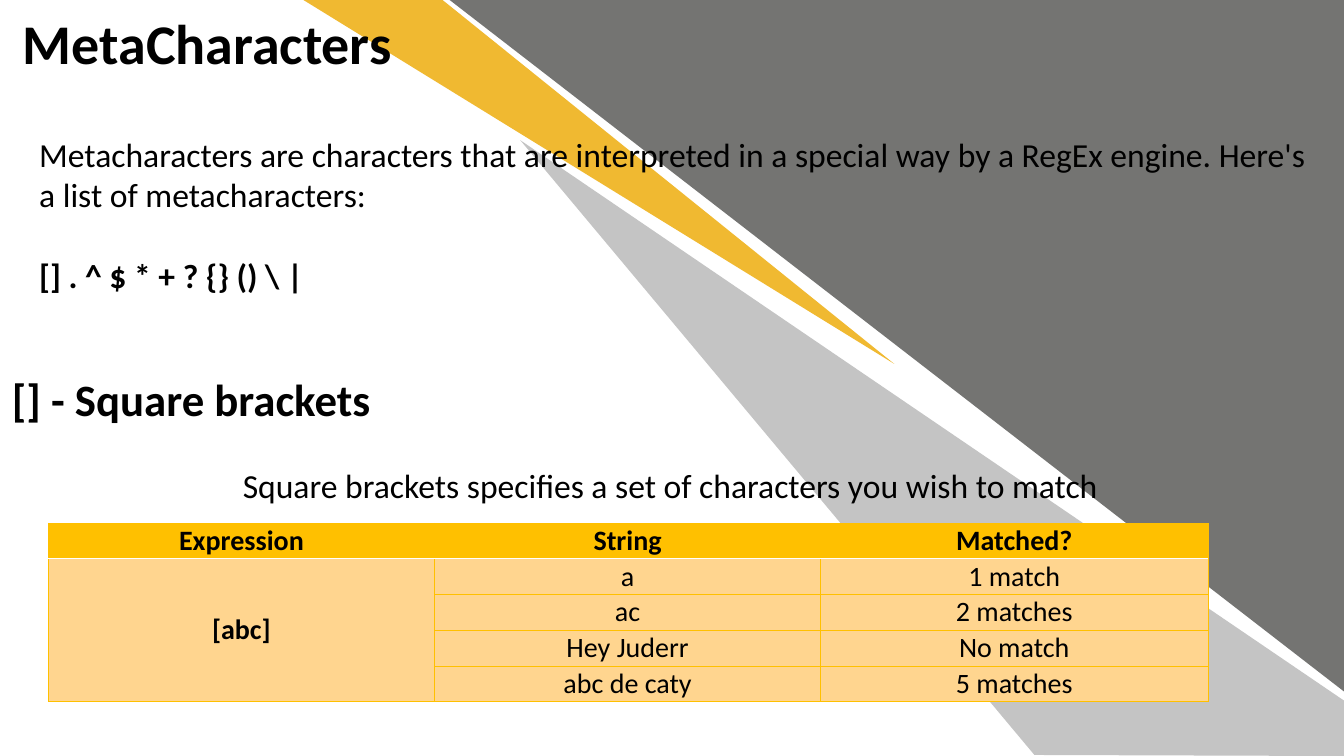
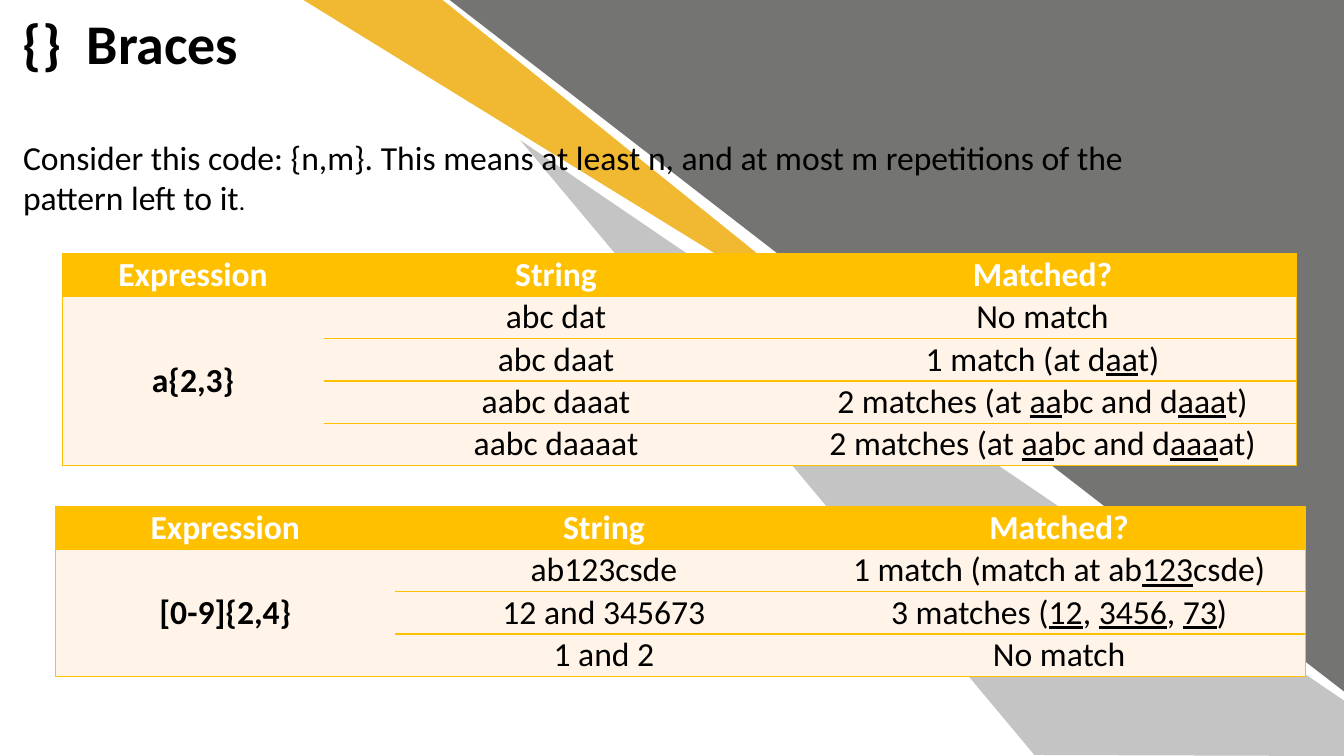
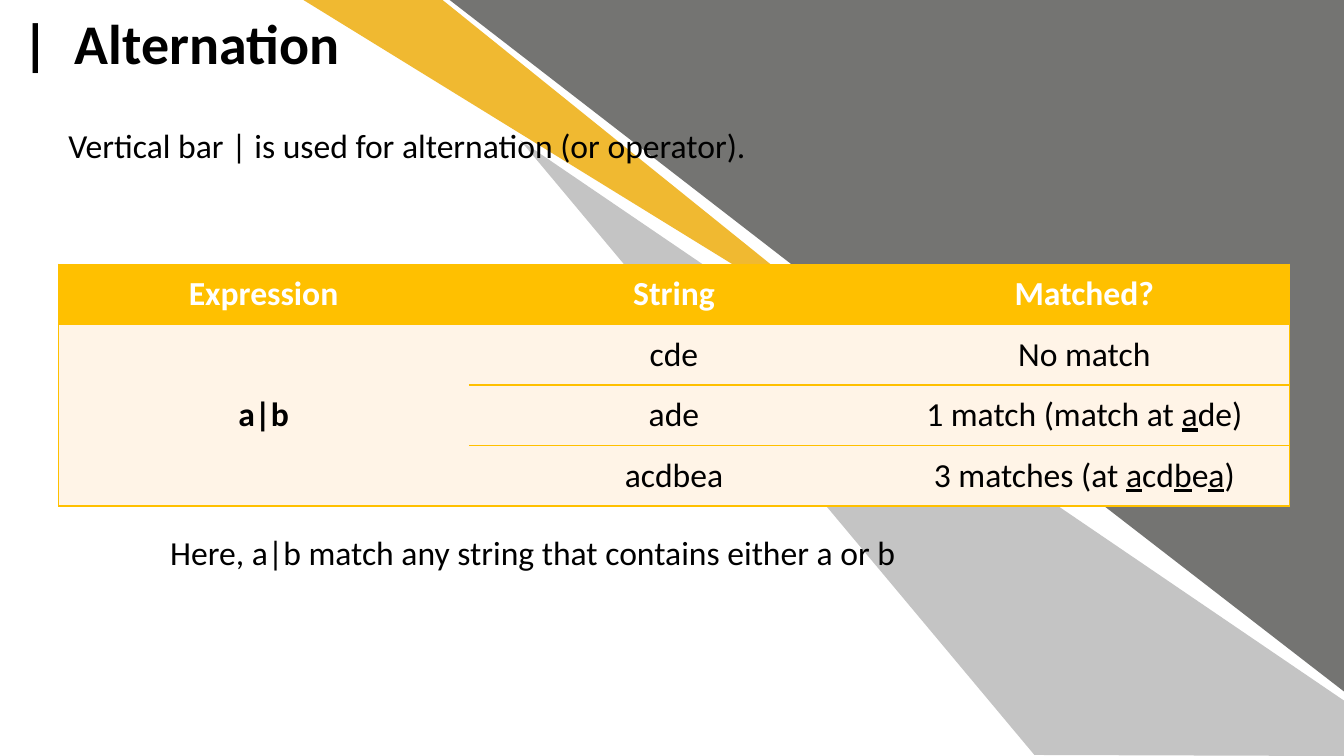
import lxml.etree
import pptx
import pptx.dml.color
import pptx.enum.shapes
import pptx.enum.text
import pptx.oxml.ns
import pptx.util

PX = 9144  # EMU per px, 100 px to the inch
SLIDE_BOX = (0, 0, 1333, 750)
TITLE_BOX = (13, 4, 716, 77)
FONT = "Calibri"
COLORS = {
    "white": "FFFFFF",
    "black": "000000",
    "slate": "747472",
    "silver": "C4C4C4",
    "gold": "F0B931",
    "amber": "FFC000",
    "peach": "FFD58F",
    "cream": "FFF4E7",
}
HEADINGS = ["Expression", "String", "Matched?"]
BOXED = {"size": 20, "heading": "black", "body": "peach", "line": 0.5,
         "header_rule": "white", "inner_verticals": True}
OPEN = {"size": 24, "heading": "white", "body": "cream", "line": 1,
        "header_rule": "amber", "inner_verticals": False}


def emu(*lengths):
    return [round(length * PX) for length in lengths]


def rgb(color):
    return pptx.dml.color.RGBColor.from_string(COLORS[color])


def apply(target, values):
    for attribute, value in values.items():
        setattr(target, attribute, value)


def add_run(paragraph, text, size, color="black", **emphasis):
    run = paragraph.add_run()
    run.text = text
    apply(run.font, {"name": FONT, "size": pptx.util.Pt(size), **emphasis})
    run.font.color.rgb = rgb(color)


def add_text(slide, box, text, size=24, bold=False, wrap=True):
    frame = slide.shapes.add_textbox(*emu(*box)).text_frame
    apply(frame, {"word_wrap": wrap,
                  "auto_size": pptx.enum.text.MSO_AUTO_SIZE.SHAPE_TO_FIT_TEXT})
    paragraph = frame.paragraphs[0]
    add_run(paragraph, text, size, bold=bold)
    return frame


def paint(shape, color):
    shape.shadow.inherit = False
    shape.fill.solid()
    shape.fill.fore_color.rgb = rgb(color)
    shape.line.fill.background()


def add_backdrop(slide, box):
    left, top, width, _ = box
    corner = slide.shapes.add_shape(
        pptx.enum.shapes.MSO_SHAPE.RIGHT_TRIANGLE,
        *emu(left + width - 887, top, 887, 686))
    corner.rotation = 180
    paint(corner, "slate")
    rays = [
        ("silver", [(1026, 749), (516, 139), (1333, 695), (1333, 750)]),
        ("gold", [(301, 0), (439, 0), (887, 361)]),
    ]
    for color, (start, *others) in rays:
        outline = slide.shapes.build_freeform(*start, scale=PX)
        outline.add_line_segments(others, close=True)
        paint(outline.convert_to_shape(*emu(left, top)), color)


def add_border(cell, side, color, points):
    """Draw one side (L, R, T or B) of a cell; no color leaves it open."""
    tag = pptx.oxml.ns.qn
    line = lxml.etree.SubElement(cell._tc.get_or_add_tcPr(), tag(f"a:ln{side}"),
                                 w=str(pptx.util.Pt(points)))
    if color:
        fill = lxml.etree.SubElement(line, tag("a:solidFill"))
        lxml.etree.SubElement(fill, tag("a:srgbClr"), val=COLORS[color])
    else:
        lxml.etree.SubElement(line, tag("a:noFill"))


def add_cell_borders(cell, row, column, last_row, look):
    drawn = {
        "L": column == 0 or look["inner_verticals"],
        "R": column == len(HEADINGS) - 1 or look["inner_verticals"],
        "T": not cell.is_spanned,
        "B": not cell.is_spanned or row == last_row,
    }
    for side, shown in drawn.items():
        is_header_rule = (row, side) in [(0, "B"), (1, "T")]
        color = look["header_rule"] if is_header_rule else "amber"
        points = 1 if is_header_rule else look["line"]
        add_border(cell, side, color if shown else None, points)


def add_match_table(slide, box, widths, expression, matches, look):
    """Table of matches; text between underscores is underlined."""
    rows = [HEADINGS] + [["", *match] for match in matches]
    rows[1][0] = expression
    table = slide.shapes.add_table(len(rows), len(HEADINGS), *emu(*box)).table
    apply(table, {"first_row": True, "horz_banding": False})
    for column, width in zip(table.columns, widths):
        column.width = emu(width)[0]
    for table_row in table.rows:
        table_row.height = emu(box[3] / len(rows))[0]
    last_row = len(rows) - 1
    table.cell(1, 0).merge(table.cell(last_row, 0))

    for row, texts in enumerate(rows):
        for column, text in enumerate(texts):
            cell = table.cell(row, column)
            add_cell_borders(cell, row, column, last_row, look)
            cell.fill.solid()
            cell.fill.fore_color.rgb = rgb(look["body"] if row else "amber")
            apply(cell, {
                "margin_left": PX, "margin_right": PX,
                "margin_top": 0, "margin_bottom": 0,
                "vertical_anchor": pptx.enum.text.MSO_ANCHOR.MIDDLE})
            paragraph = cell.text_frame.paragraphs[0]
            paragraph.alignment = pptx.enum.text.PP_ALIGN.CENTER
            for index, part in enumerate(text.split("_")):
                if part:
                    add_run(paragraph, part, look["size"],
                            "black" if row else look["heading"],
                            bold=row == 0 or column == 0,
                            underline=index % 2 == 1)


def add_titled_slide(deck, title):
    slide = deck.slides.add_slide(deck.slide_layouts[6])
    add_backdrop(slide, SLIDE_BOX)
    add_text(slide, TITLE_BOX, title, size=40, bold=True)
    return slide


def add_metacharacters_slide(deck):
    slide = add_titled_slide(deck, "MetaCharacters")
    intro = add_text(
        slide, (29, 128, 1281, 172),
        "Metacharacters are characters that are interpreted in a special way "
        "by a RegEx engine. Here's a list of metacharacters:")
    characters = intro.add_paragraph()
    characters.space_before = pptx.util.Pt(29)
    add_run(characters, "[] . ^ $ * + ? {} () \\ |", 24, bold=True)
    add_match_table(
        slide, (48, 519, 1150, 177), [383, 383, 384], "[abc]",
        [("a", "1 match"), ("ac", "2 matches"),
         ("Hey Juderr", "No match"), ("abc de caty", "5 matches")], BOXED)
    add_text(slide, (2, 364, 379, 64), "[] - Square brackets",
             size=32, bold=True, wrap=False)
    add_text(slide, (231, 456, 876, 50),
             "Square brackets specifies a set of characters you wish to match",
             wrap=False)


def add_braces_slide(deck):
    slide = add_titled_slide(deck, "{}  Braces")
    meaning = add_text(
        slide, (13, 131, 1192, 91),
        "Consider this code: {n,m}. This means at least n, and at most m "
        "repetitions of the pattern left to it")
    add_run(meaning.paragraphs[0], ".", 18)
    add_match_table(
        slide, (62, 252, 1224, 210), [259, 461, 504], "a{2,3}",
        [("abc dat", "No match"),
         ("abc daat", "1 match (at d_aa_t)"),
         ("aabc daaat", "2 matches (at _aa_bc and d_aaa_t)"),
         ("aabc daaaat", "2 matches (at _aa_bc and d_aaa_at)")], OPEN)
    add_match_table(
        slide, (55, 503, 1240, 168), [337, 414, 489], "[0-9]{2,4}",
        [("ab123csde", "1 match (match at ab_123_csde)"),
         ("12 and 345673", "3 matches (_12_, _3456_, _73_)"),
         ("1 and 2", "No match")], OPEN)


def add_alternation_slide(deck):
    slide = add_titled_slide(deck, "|  Alternation")
    add_text(slide, (58, 119, 900, 50),
             "Vertical bar | is used for alternation (or operator).")
    add_match_table(
        slide, (58, 262, 1221, 240), [407, 407, 407], "a|b",
        [("cde", "No match"),
         ("ade", "1 match (match at _a_de)"),
         ("acdbea", "3 matches (at _a_cd_b_e_a_)")], OPEN)
    add_text(slide, (159, 523, 976, 50),
             "Here, a|b match any string that contains either a or b")


def main():
    deck = pptx.Presentation()
    deck.slide_width, deck.slide_height = emu(*SLIDE_BOX[2:])
    add_metacharacters_slide(deck)
    add_braces_slide(deck)
    add_alternation_slide(deck)
    deck.save("out.pptx")


if __name__ == "__main__":
    main()
